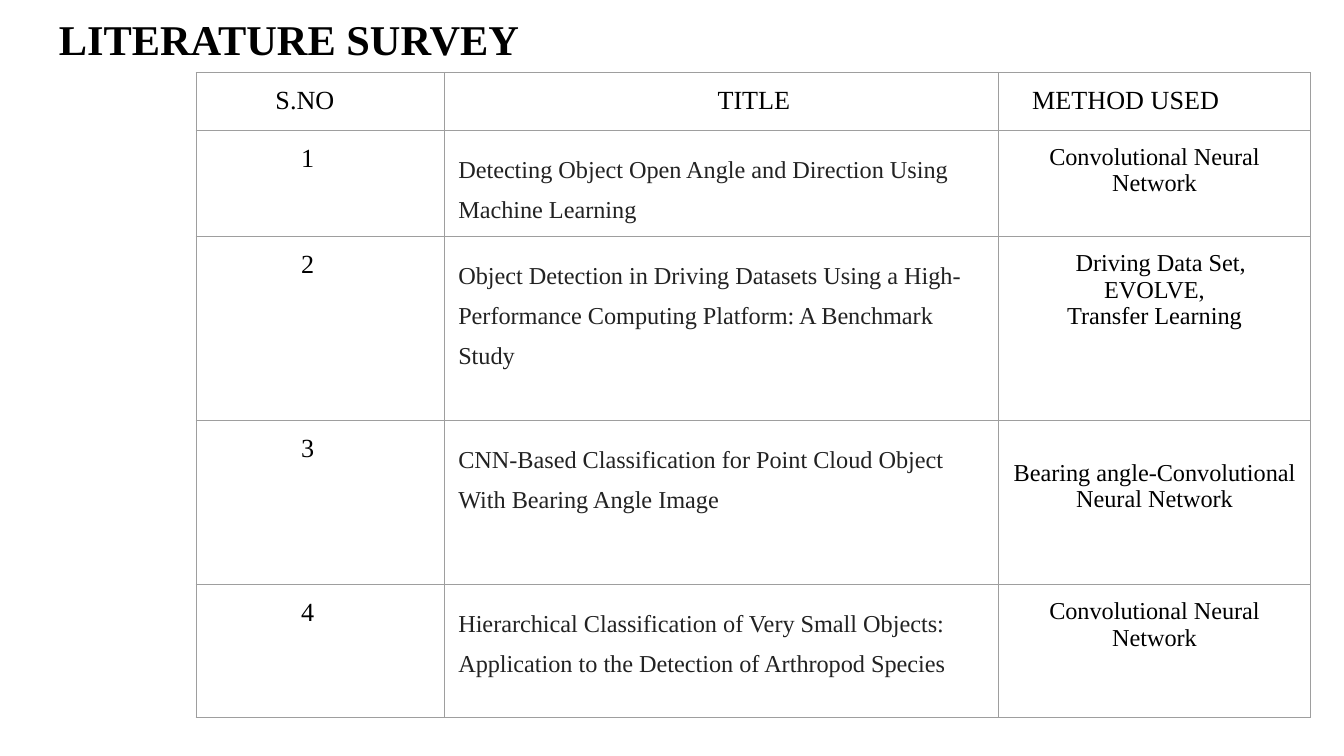
from lxml.etree import SubElement
from pptx import Presentation
from pptx.dml.color import RGBColor
from pptx.enum.text import MSO_ANCHOR, PP_ALIGN
from pptx.oxml.ns import qn
from pptx.util import Inches, Pt

FONT = "Times New Roman"
BLACK, GRAY, BORDER = "000000", "222222", "9E9E9E"
LEFT, CENTER = PP_ALIGN.LEFT, PP_ALIGN.CENTER
INSET = 0.1

HEADING = "LITERATURE SURVEY"
HEADERS = ["S.NO", "TITLE", "METHOD USED"]
SURVEY = [
    ("1", "Detecting Object Open Angle and Direction Using Machine Learning",
     "Convolutional Neural Network"),
    ("2", "Object Detection in Driving Datasets Using a High-Performance "
     "Computing Platform: A Benchmark Study",
     "Driving Data Set,\nEVOLVE,\nTransfer Learning"),
    ("3", "CNN-Based Classification for Point Cloud Object With Bearing Angle Image",
     "Bearing angle-Convolutional Neural Network"),
    ("4", "Hierarchical Classification of Very Small Objects: Application to "
     "the Detection of Arthropod Species",
     "Convolutional Neural Network"),
]
TABLE_LEFT, TABLE_TOP = 1.46, 0.54
COLUMN_WIDTHS = [1.85, 4.12, 2.32]
ROW_HEIGHTS = [0.43, 0.79, 1.37, 1.22, 0.99]

# One entry per column: size, colour, alignment, left margin, line spacing
HEADER_STYLES = [
    (14, BLACK, LEFT, 0.59, 1),
    (14, BLACK, CENTER, 0.58, 1),
    (14, BLACK, LEFT, 0.25, 1),
]
BODY_STYLES = [
    (14, BLACK, LEFT, 0.78, 1),
    (13, GRAY, LEFT, INSET, 1.5),
    (13, BLACK, CENTER, INSET, 1),
]
TOP_MARGINS = {(3, 2): 0.29}  # this method sits one line lower
FIRST_LINE_INDENTS = {(2, 2): 0.09}
CELL_BOTTOM = 0.03  # lets the two-line title fit its row


def color(hex_string):
    return RGBColor.from_string(hex_string)


def format_text(frame, size, hex_string, align=LEFT, spacing=1, bold=False):
    for para in frame.paragraphs:
        para.alignment = align
        para.line_spacing = spacing
        for span in para.runs:
            span.font.name = FONT
            span.font.size = Pt(size)
            span.font.bold = bold
            span.font.color.rgb = color(hex_string)


def set_margins(target, left=INSET, top=INSET, bottom=INSET):
    target.margin_left, target.margin_top = Inches(left), Inches(top)
    target.margin_right, target.margin_bottom = Inches(INSET), Inches(bottom)


def add_borders(cell):
    properties = cell._tc.get_or_add_tcPr()
    for side in ("a:lnL", "a:lnR", "a:lnT", "a:lnB"):
        line = SubElement(properties, qn(side), w=str(Pt(0.75)))
        fill = SubElement(line, qn("a:solidFill"))
        SubElement(fill, qn("a:srgbClr"), val=BORDER)


def add_heading(page):
    box = page.shapes.add_textbox(Inches(0.34), 0, Inches(9.32), Inches(0.63))
    frame = box.text_frame
    frame.word_wrap = True
    frame.vertical_anchor = MSO_ANCHOR.TOP
    set_margins(frame)
    frame.text = HEADING
    format_text(frame, 22.7, BLACK, bold=True)


def add_survey_table(page):
    rows = [HEADERS, *SURVEY]
    table = page.shapes.add_table(
        len(rows), len(HEADERS), Inches(TABLE_LEFT), Inches(TABLE_TOP),
        Inches(sum(COLUMN_WIDTHS)), Inches(sum(ROW_HEIGHTS))).table
    table.first_row = table.horz_banding = False
    for column, width in zip(table.columns, COLUMN_WIDTHS):
        column.width = Inches(width)
    for row, height in zip(table.rows, ROW_HEIGHTS):
        row.height = Inches(height)

    for r, texts in enumerate(rows):
        styles = BODY_STYLES if r else HEADER_STYLES
        for c, (text, style) in enumerate(zip(texts, styles)):
            size, hex_string, align, left, spacing = style
            cell = table.cell(r, c)
            cell.text_frame.text = text
            format_text(cell.text_frame, size, hex_string, align, spacing)
            set_margins(cell, left, TOP_MARGINS.get((r, c), INSET), CELL_BOTTOM)
            if (r, c) in FIRST_LINE_INDENTS:
                indent = Inches(FIRST_LINE_INDENTS[r, c])
                first = cell.text_frame.paragraphs[0]
                first._p.get_or_add_pPr().set("marL", str(indent))
            add_borders(cell)
            cell.fill.background()


def main():
    deck = Presentation()
    deck.slide_width = Inches(10)
    deck.slide_height = deck.slide_width * 9 // 16
    page = deck.slides.add_slide(deck.slide_layouts[6])
    add_heading(page)
    add_survey_table(page)
    deck.save("out.pptx")


if __name__ == "__main__":
    main()
